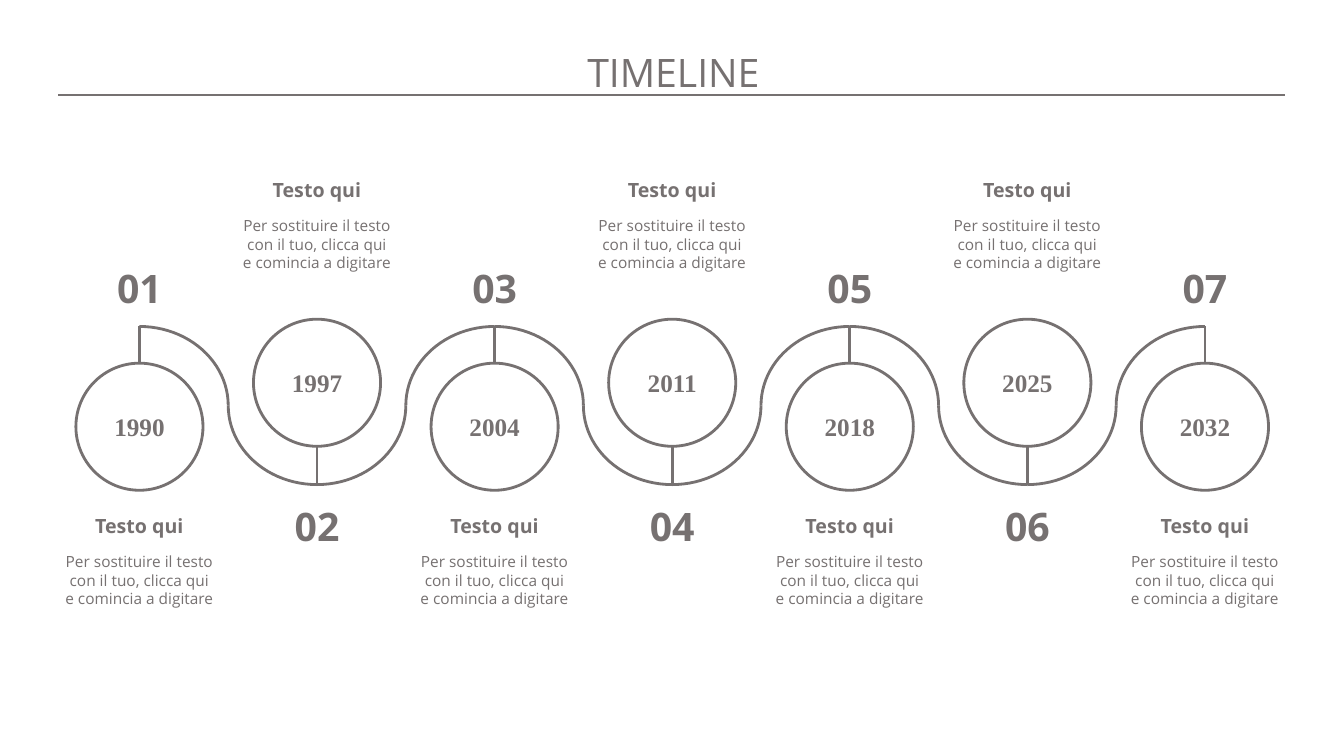
import lxml.etree
import pptx
import pptx.dml.color
import pptx.enum.shapes
import pptx.enum.text
import pptx.oxml.ns
import pptx.util

Pt = pptx.util.Pt
Kind = pptx.enum.shapes.MSO_SHAPE
Fit = pptx.enum.text.MSO_AUTO_SIZE
qn = pptx.oxml.ns.qn

HUES = {
    name: pptx.dml.color.RGBColor.from_string(code)
    for name, code in {"gray": "767171", "white": "FFFFFF"}.items()
}
FONTS = {
    "title": {"name": "Open Sans", "size": Pt(28), "bold": False},
    "count": {"name": "Open Sans", "size": Pt(28), "bold": True},
    "year": {"name": "Times New Roman", "size": Pt(18), "bold": True},
    "head": {"name": "Open Sans", "size": Pt(14), "bold": True},
    "body": {"name": "Open Sans", "size": Pt(11), "bold": False},
}
YEARS = [1990, 1997, 2004, 2011, 2018, 2025, 2032]
BODY = "Per sostituire il testo con il tuo, clicca qui e comincia a digitare"

deck = pptx.Presentation()
deck.slide_width, deck.slide_height = Pt(960), Pt(540)
slide = deck.slides.add_slide(deck.slide_layouts[5])
shapes = slide.shapes


def write(box, text, style, fit=Fit.SHAPE_TO_FIT_TEXT):
    """Put centred text in the named style into a box."""
    frame = box.text_frame
    frame.text = text
    frame.word_wrap = True
    frame.auto_size = fit
    frame.vertical_anchor = pptx.enum.text.MSO_ANCHOR.TOP
    para = frame.paragraphs[0]
    para.alignment = pptx.enum.text.PP_ALIGN.CENTER
    font = para.runs[0].font
    for key, value in FONTS[style].items():
        setattr(font, key, value)
    font.color.rgb = HUES["gray"]


def rule(x1, y1, x2, y2):
    """Draw a plain gray line."""
    line = shapes.add_connector(
        pptx.enum.shapes.MSO_CONNECTOR.STRAIGHT, Pt(x1), Pt(y1), Pt(x2), Pt(y2))
    line.line.color.rgb = HUES["gray"]
    line.line.width = Pt(2)
    lxml.etree.SubElement(line._element.spPr, qn("a:effectLst"))


title = shapes.title
title.left, title.top, title.width, title.height = Pt(0), Pt(31), Pt(962), Pt(41)
write(title, "TIMELINE", "title", Fit.NONE)
rule(41.8, 67.9, 918, 67.9)

# Nodes alternate between low (even) and high (odd) circles
STEP = 126.85
DISC = 90.8
CREST, DIP = 233.2, 346.2
nodes = [(i, 99.6 + i * STEP, i % 2 == 1) for i in range(len(YEARS))]

# Wave: a quarter arc on each inner side of every node
for i, x, high in nodes:
    for side in ("left", "right"):
        if (i, side) in ((0, "left"), (len(YEARS) - 1, "right")):
            continue
        arc = shapes.add_shape(
            Kind.ARC, Pt(x - STEP / 2), Pt(CREST), Pt(STEP), Pt(DIP - CREST))
        arc.shadow.inherit = False
        arc.fill.background()
        arc.line.color.rgb = HUES["gray"]
        arc.line.width = Pt(2)
        frame = arc._element.spPr.find(qn("a:xfrm"))
        if side == "left":
            frame.set("flipH", "1")
        if high:
            frame.set("flipV", "1")

# Stems, circles and their labels
for i, x, high in nodes:
    top = 228 if high else 259.4
    if high:
        rule(x, top + DISC, x, DIP)
    else:
        rule(x, CREST, x, top)
    disc = shapes.add_shape(Kind.OVAL, Pt(x - DISC / 2), Pt(top), Pt(DISC), Pt(DISC))
    disc.shadow.inherit = False
    disc.fill.solid()
    disc.fill.fore_color.rgb = HUES["white"]
    disc.line.color.rgb = HUES["gray"]
    disc.line.width = Pt(2)

    block = 123.3 if high else 363.4
    labels = [
        (f"{i + 1:02}", "count", 355 if high else 185, 75.6, 41.2),
        (str(YEARS[i]), "year", top + 30.8, DISC, 29.1),
        ("Testo qui", "head", block, 120.2, 24.2),
        (BODY, "body", block + 27.7, 120.2, 47),
    ]
    for text, style, y, wide, tall in labels:
        box = shapes.add_textbox(Pt(x - wide / 2), Pt(y), Pt(wide), Pt(tall))
        write(box, text, style)

deck.save("out.pptx")
